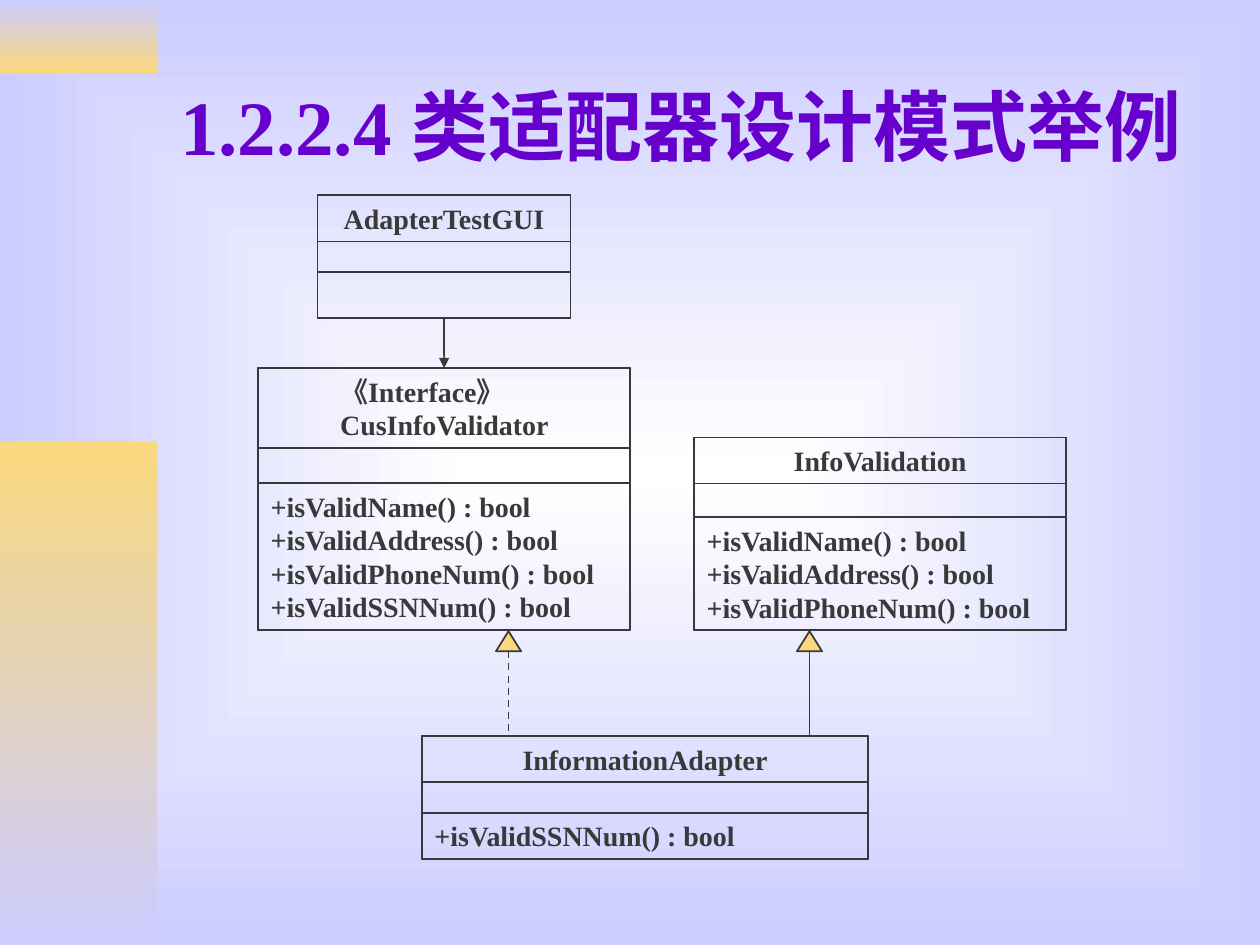
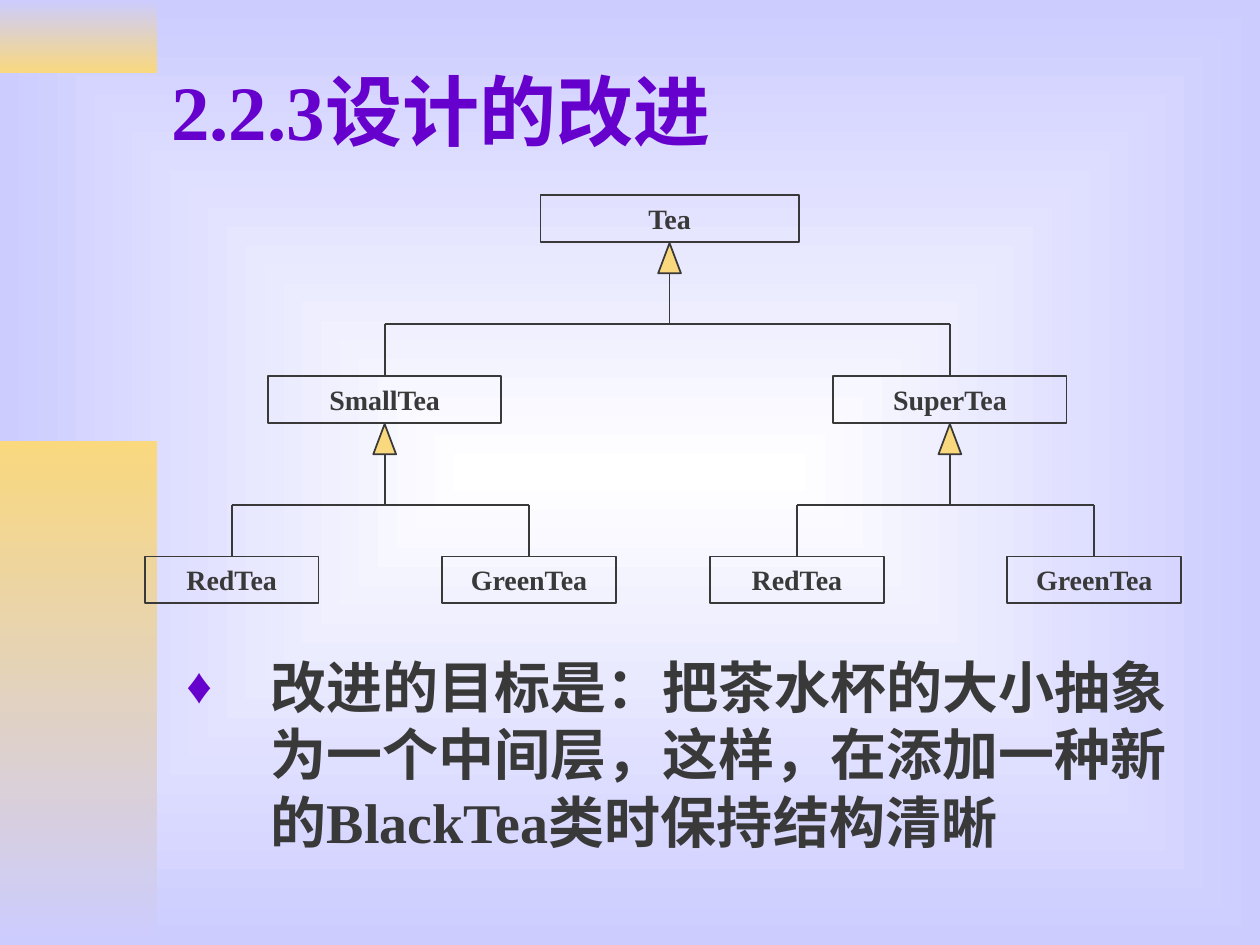
from lxml.etree import SubElement
from pptx import Presentation
from pptx.dml.color import RGBColor
from pptx.enum.dml import MSO_LINE
from pptx.enum.shapes import MSO_CONNECTOR, MSO_SHAPE
from pptx.enum.text import MSO_ANCHOR, PP_ALIGN
from pptx.oxml.ns import qn
from pptx.util import Pt

INK = RGBColor(0x39, 0x39, 0x39)
PURPLE = RGBColor(0x66, 0x00, 0xCC)
GOLD = RGBColor(0xF9, 0xD8, 0x7E)
LAVENDER = RGBColor(0xCC, 0xCC, 0xFF)
WHITE = RGBColor(0xFF, 0xFF, 0xFF)
FONT = "Times New Roman"
LINE_HEIGHT = 1.2
NAME_SIZE = 16
ROW = NAME_SIZE * LINE_HEIGHT
PADDING = 7.2


def write(holder, lines, size, color=INK, align=PP_ALIGN.LEFT, anchor=MSO_ANCHOR.TOP):
    frame = holder.text_frame
    frame.word_wrap = True
    frame.vertical_anchor = anchor
    for number, line in enumerate(lines):
        paragraph = frame.add_paragraph() if number else frame.paragraphs[0]
        paragraph.text = line
        paragraph.alignment = align
        paragraph.line_spacing = Pt(size * LINE_HEIGHT)
        paragraph.font.name = FONT
        paragraph.font.size = Pt(size)
        paragraph.font.bold = True
        paragraph.font.color.rgb = color
    return frame


def outline(part, fill=None):
    part.line.color.rgb = INK
    part.line.width = Pt(1)
    if part.shape_type is not None and hasattr(part, "fill"):
        part.shadow.inherit = False
        if fill is None:
            part.fill.background()
        else:
            part.fill.solid()
            part.fill.fore_color.rgb = fill
    else:
        SubElement(part.element.spPr, qn("a:effectLst"))
    return part


deck = Presentation()
deck.slide_width, deck.slide_height = Pt(720), Pt(540)

background = deck.slide_master.background.fill
background.gradient()
for stop, color in zip(background.gradient_stops, (WHITE, LAVENDER)):
    stop.color.rgb = color
glow = deck.slide_master.element.xpath(".//p:bg//a:gradFill")[0]
glow.remove(glow.find(qn("a:lin")))
glow_path = SubElement(glow, qn("a:path"), path="rect")
SubElement(glow_path, qn("a:fillToRect"), l="50000", t="50000", r="50000", b="50000")

bands = [(0, 41.8, (LAVENDER, GOLD)), (252, 288, (GOLD, LAVENDER))]
titles = [
    ("1.2.2.4 类适配器设计模式举例", 95.8, 23.8),
    ("2.2.3设计的改进", 90.7, 15.1),
]
slides = []
for title, left, top in titles:
    slide = deck.slides.add_slide(deck.slide_layouts[6])
    for band_top, band_height, colors in bands:
        band = slide.shapes.add_shape(
            MSO_SHAPE.RECTANGLE, 0, Pt(band_top), Pt(90), Pt(band_height))
        band.shadow.inherit = False
        band.line.fill.background()
        band.fill.gradient()
        band.fill.gradient_angle = 270
        for stop, color in zip(band.fill.gradient_stops, colors):
            stop.color.rgb = color
    heading = slide.shapes.add_textbox(Pt(left), Pt(top), Pt(612), Pt(95))
    write(heading, [title], 44, PURPLE, anchor=MSO_ANCHOR.MIDDLE)
    slides.append(slide)

adapter_shapes, tea_shapes = (slide.shapes for slide in slides)

CHECKS = ["+isValidName() : bool", "+isValidAddress() : bool",
          "+isValidPhoneNum() : bool", "+isValidSSNNum() : bool"]
classes = [
    (["AdapterTestGUI"], [], 181.4, 111.6, 144.7, 17.5),
    (["《Interface》", "CusInfoValidator"], CHECKS, 147.6, 210.4, 212.4, 20),
    (["InfoValidation"], CHECKS[:3], 396.7, 250, 212.4, 19),
    (["InformationAdapter"], CHECKS[3:], 241.2, 420.5, 254.9, 17.5),
]
frames = {}
for names, operations, left, top, width, attributes_height in classes:
    name_height = len(names) * ROW + PADDING
    operations_height = max(len(operations), 1) * ROW + PADDING
    operations_top = top + name_height + attributes_height
    total = operations_top + operations_height - top
    frame, name, body = [
        outline(adapter_shapes.add_shape(
            MSO_SHAPE.RECTANGLE, Pt(left), Pt(y), Pt(width), Pt(height)))
        for y, height in ((top, total), (top, name_height),
                          (operations_top, operations_height))
    ]
    if len(names) > 1:
        write(name, names, NAME_SIZE).margin_left = Pt(46.8)
    else:
        write(name, names, NAME_SIZE, align=PP_ALIGN.CENTER)
    if operations:
        write(body, operations, NAME_SIZE)
    frames[names[-1]] = frame

for x, dashed in ((290.6, True), (462.6, False)):
    outline(adapter_shapes.add_shape(
        MSO_SHAPE.FLOWCHART_EXTRACT, Pt(x - 7.2), Pt(360.7), Pt(14.4), Pt(11.5)), GOLD)
    inheritance = outline(adapter_shapes.add_connector(
        MSO_CONNECTOR.STRAIGHT, Pt(x), Pt(372.2), Pt(x), Pt(420.5)))
    if dashed:
        inheritance.line.dash_style = MSO_LINE.DASH

usage = outline(adapter_shapes.add_connector(MSO_CONNECTOR.STRAIGHT, 0, 0, 0, 0))
usage.begin_connect(frames["AdapterTestGUI"], 2)
usage.end_connect(frames["CusInfoValidator"], 0)
SubElement(usage.line._get_or_add_ln(), qn("a:tailEnd"), type="triangle")

TEA_HEIGHT = 26.6
ARROW_WIDTH, ARROW_HEIGHT = 13, 17.3
BUS_DROP = 47
LEVEL_TOPS = [111.6, 215, 318]
LEVEL_WIDTHS = [147.6, 133.2, 99.4]
teas = [
    ("Tea", 0, 382.6, [219.8, 542.8]),
    ("SmallTea", 1, 219.8, [132.4, 302.3]),
    ("SuperTea", 1, 542.8, [455.4, 625.3]),
    ("RedTea", 2, 132.4, []),
    ("GreenTea", 2, 302.3, []),
    ("RedTea", 2, 455.4, []),
    ("GreenTea", 2, 625.3, []),
]
tea_boxes = {}
for name, level, center, _ in teas:
    width = LEVEL_WIDTHS[level]
    box = outline(tea_shapes.add_shape(
        MSO_SHAPE.RECTANGLE, Pt(center - width / 2), Pt(LEVEL_TOPS[level]),
        Pt(width), Pt(TEA_HEIGHT)))
    write(box, [name], NAME_SIZE, align=PP_ALIGN.CENTER)
    tea_boxes[level, center] = box

for name, level, center, children in teas:
    if not children:
        continue
    bottom = LEVEL_TOPS[level] + TEA_HEIGHT
    bus = bottom + BUS_DROP
    outline(tea_shapes.add_shape(
        MSO_SHAPE.ISOSCELES_TRIANGLE, Pt(center - ARROW_WIDTH / 2), Pt(bottom + 0.7),
        Pt(ARROW_WIDTH), Pt(ARROW_HEIGHT)), GOLD)
    for x1, y1, x2 in ((center, bottom + 0.7 + ARROW_HEIGHT, center),
                       (children[0], bus, children[1])):
        outline(tea_shapes.add_connector(
            MSO_CONNECTOR.STRAIGHT, Pt(x1), Pt(y1), Pt(x2), Pt(bus)))
    for child in children:
        branch = outline(tea_shapes.add_connector(
            MSO_CONNECTOR.STRAIGHT, Pt(child), Pt(bus), Pt(child), Pt(bus + 30)))
        branch.end_connect(tea_boxes[level + 1, child], 0)

goal = tea_shapes.add_textbox(Pt(99.4), Pt(369.4), Pt(578.2), Pt(122.4))
goal_text = "改进的目标是：把茶水杯的大小抽象为一个中间层，这样，在添加一种新的BlackTea类时保持结构清晰"
bullet = goal.text_frame.paragraphs[0]._p.get_or_add_pPr()
bullet.set("marL", str(Pt(48.2)))
bullet.set("indent", str(-Pt(48.2)))
bullet_color = SubElement(bullet, qn("a:buClr"))
SubElement(bullet_color, qn("a:srgbClr"), val=str(PURPLE))
SubElement(bullet, qn("a:buSzPct"), val="90000")
SubElement(bullet, qn("a:buFont"), typeface=FONT)
SubElement(bullet, qn("a:buChar"), char="♦")
write(goal, [goal_text], 32)

deck.save("out.pptx")
